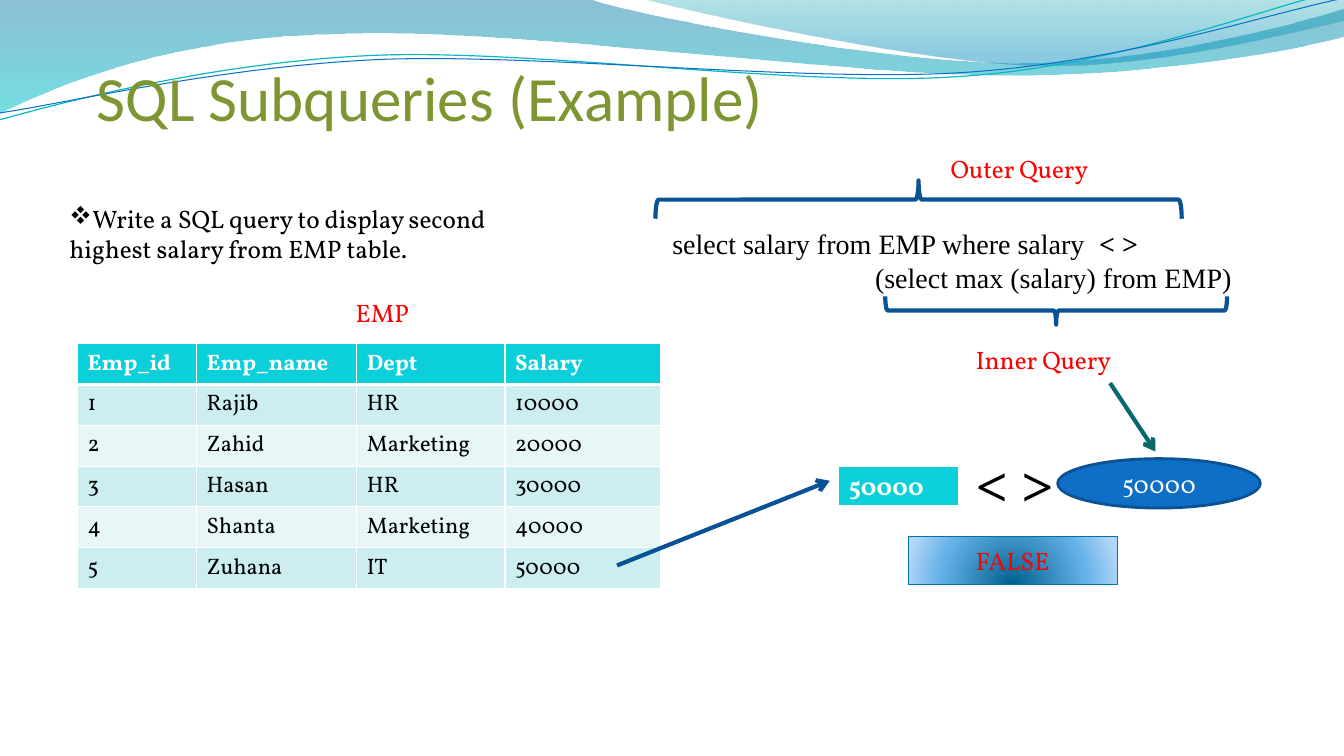
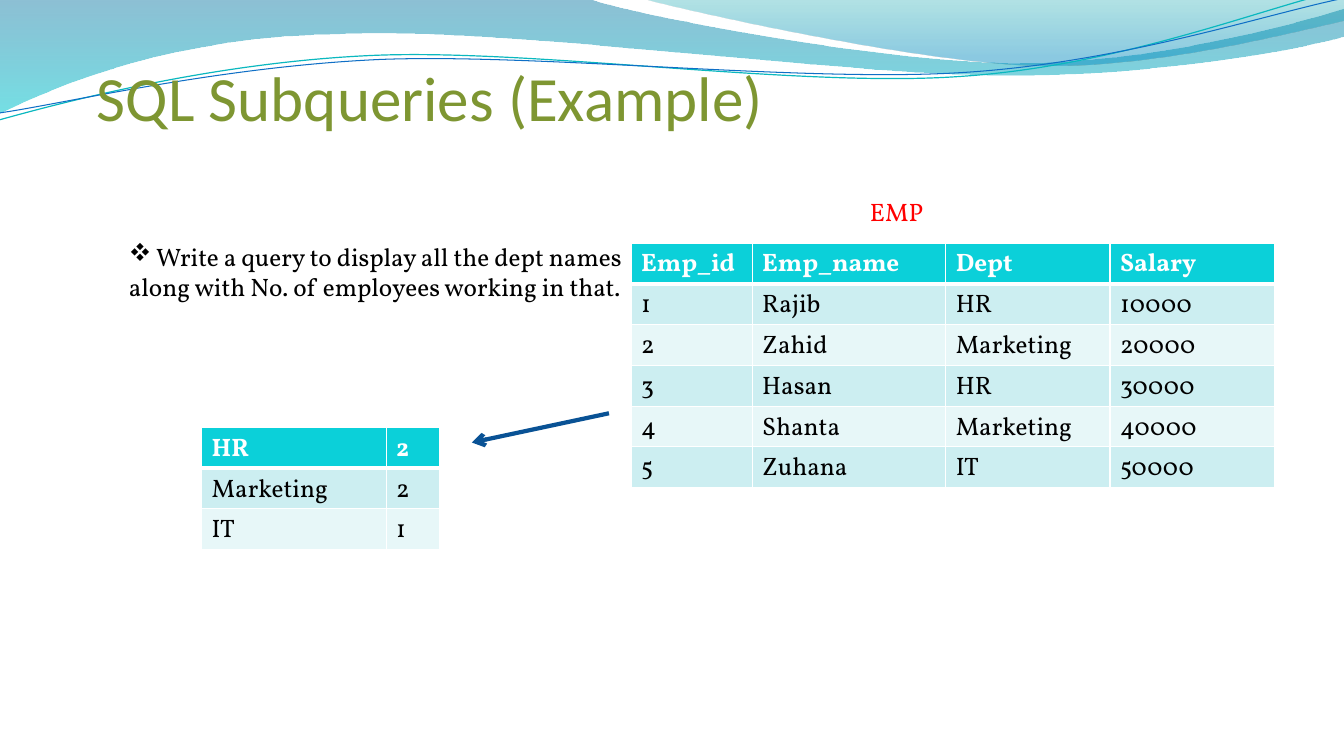
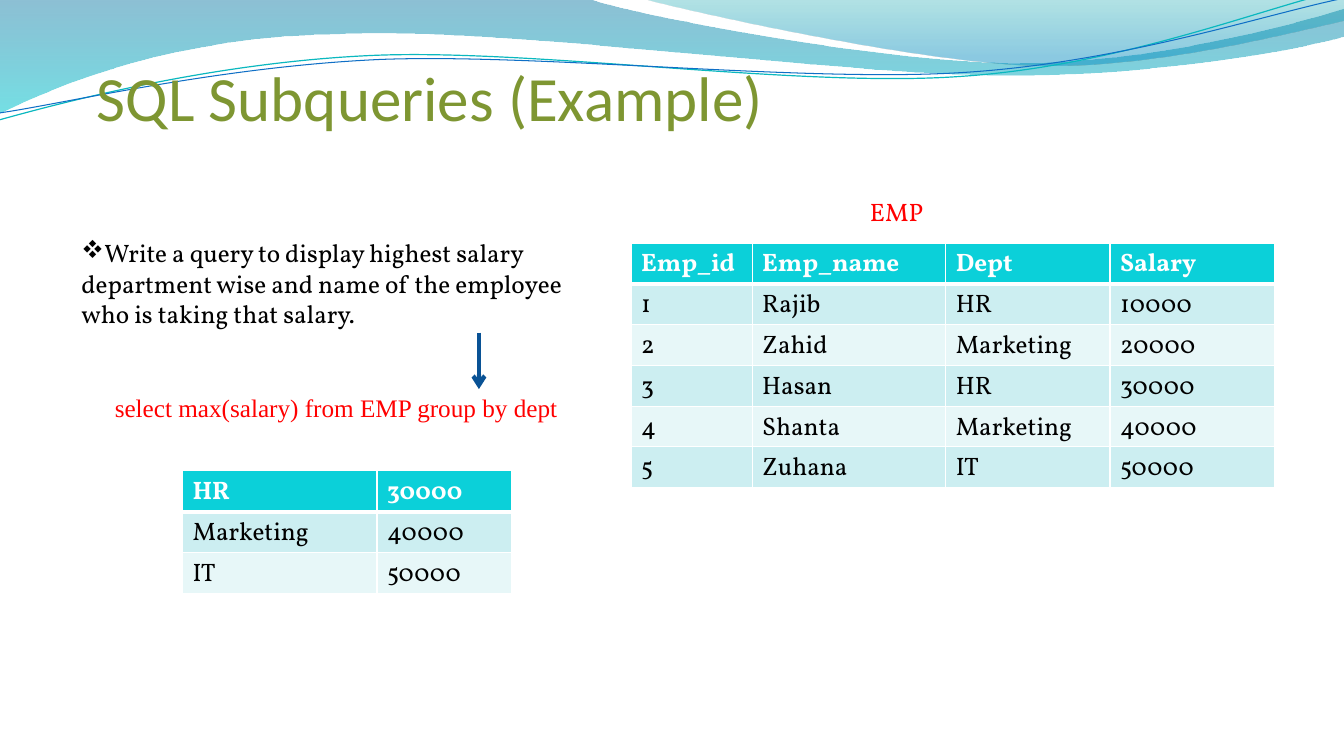
from lxml import etree
from pptx import Presentation
from pptx.dml.color import RGBColor
from pptx.enum.shapes import MSO_CONNECTOR, MSO_SHAPE
from pptx.enum.text import MSO_ANCHOR, MSO_AUTO_SIZE, PP_ALIGN
from pptx.oxml import parse_xml
from pptx.oxml.ns import nsdecls, qn
from pptx.util import Pt

PX = 9144  # one px is a hundredth of an inch
SLIDE_WIDTH, SLIDE_HEIGHT = 1333, 750
TITLE_ONLY = 5

BODY_FONT, CODE_FONT, TITLE_FONT = "Vollkorn", "Times New Roman", "Calibri"
BLACK, WHITE, RED, OLIVE = "000000", "FFFFFF", "FF0000", "7E9632"
NAVY, TEAL, BLUE, BLUE_EDGE = "095295", "06686C", "0F6FC6", "0B5292"
HEADER_FILL, BAND_FILLS = "0BD0D9", ("CCEEF1", "E7F7F8")

# Each outline: a start point, then points (2 numbers) or Bezier curves (6 numbers)
LEFT_WAVE = [
    (0, 0), (587, 0),
    (634, 17, 885, 63, 1011, 63), (1138, 63, 1278, 26, 1333, 9), (1335, 36),
    (1311, 44, 1160, 76, 994, 75), (829, 75, 509, 28, 343, 34),
    (172, 36, 61, 83, -1, 113),
]
RIGHT_WAVE = [
    (639, 0), (679, 11, 909, 62, 1025, 65), (1141, 69, 1282, 32, 1333, 21),
    (1333, 0),
]
TEAL_LINE = [
    (-1, 119), (64, 101, 211, 62, 369, 55), (527, 48, 790, 87, 950, 76),
    (1110, 66, 1252, 8, 1331, -10),
]
BLUE_LINE = [
    (0, 112), (63, 103, 218, 66, 378, 59), (537, 53, 796, 82, 955, 72),
    (1115, 62, 1255, 14, 1334, -2),
]

EMPLOYEES = [
    ("Emp_id", "Emp_name", "Dept", "Salary"),
    ("1", "Rajib", "HR", "10000"),
    ("2", "Zahid", "Marketing", "20000"),
    ("3", "Hasan", "HR", "30000"),
    ("4", "Shanta", "Marketing", "40000"),
    ("5", "Zuhana", "IT", "50000"),
]


def emu(*lengths):
    return [round(length * PX) for length in lengths]


def rgb(color):
    return RGBColor.from_string(color)


# Text

def style_font(font, size, color, name=BODY_FONT, bold=False):
    font.size, font.name, font.bold = Pt(size), name, bold
    font.color.rgb = rgb(color)


def add_text(slide, box, lines, size=18, color=BLACK, name=BODY_FONT,
             bold=False, wrap=True):
    text_box = slide.shapes.add_textbox(*emu(*box))
    text_frame = text_box.text_frame
    text_frame.text = lines
    text_frame.word_wrap = wrap
    text_frame.auto_size = MSO_AUTO_SIZE.SHAPE_TO_FIT_TEXT
    for paragraph in text_frame.paragraphs:
        for run in paragraph.runs:
            style_font(run.font, size, color, name, bold)
    return text_frame


def add_label(slide, box, text, name=BODY_FONT):
    add_text(slide, box, text, color=RED, name=name, wrap=False)


def add_question(slide, box, text):
    properties = add_text(slide, box, text).paragraphs[0]._p.get_or_add_pPr()
    # In Wingdings the letter v is the four-diamond bullet
    etree.SubElement(properties, qn("a:buFont")).set("typeface", "Wingdings")
    etree.SubElement(properties, qn("a:buChar")).set("char", "v")


# Shapes

def set_gradient(shape, stops, direction):
    stop_xml = "".join(
        f'<a:gs pos="{place * 1000}"><a:srgbClr val="{color}">'
        f'<a:alpha val="{opacity * 1000}"/></a:srgbClr></a:gs>'
        for place, color, opacity in stops)
    shape.fill.background()
    properties = shape._element.spPr
    properties.replace(properties.find(qn("a:noFill")), parse_xml(
        f'<a:gradFill {nsdecls("a")}><a:gsLst>{stop_xml}</a:gsLst>'
        f'{direction}</a:gradFill>'))


def set_line(line, color, width):
    line.color.rgb = rgb(color)
    line.width = Pt(width)


def add_arrow(slide, start, end, color=NAVY):
    arrow = slide.shapes.add_connector(
        MSO_CONNECTOR.STRAIGHT, *emu(*start, *end))
    set_line(arrow.line, color, 3)
    etree.SubElement(arrow.line._get_or_add_ln(), qn("a:tailEnd")).set("type", "arrow")
    etree.SubElement(arrow._element.spPr, qn("a:effectLst"))


def add_brace(slide, box, rotation):
    """Draw a brace lying in the box: a left brace turned on its side."""
    left, top, width, height = box
    shift = (width - height) / 2
    brace = slide.shapes.add_shape(
        MSO_SHAPE.LEFT_BRACE, *emu(left + shift, top - shift, height, width))
    brace.rotation = rotation
    brace.shadow.inherit = False
    brace.fill.background()
    set_line(brace.line, NAVY, 3)


def add_value_shape(slide, kind, box, text, color, edge, edge_width):
    shape = slide.shapes.add_shape(kind, *emu(*box))
    shape.shadow.inherit = False
    set_line(shape.line, edge, edge_width)
    shape.text_frame.text = text
    shape.text_frame.vertical_anchor = MSO_ANCHOR.MIDDLE
    paragraph = shape.text_frame.paragraphs[0]
    paragraph.alignment = PP_ALIGN.CENTER
    style_font(paragraph.runs[0].font, 18, color)
    return shape


# Tables

def set_borders(cell, top, bottom):
    properties = cell._tc.get_or_add_tcPr()
    widths = {"lnL": 1, "lnR": 1, "lnT": top, "lnB": bottom}
    for index, (side, width) in enumerate(widths.items()):
        properties.insert(index, parse_xml(
            f'<a:{side} {nsdecls("a")} w="{Pt(width)}"><a:solidFill>'
            f'<a:srgbClr val="{WHITE}"/></a:solidFill></a:{side}>'))


def add_data_table(slide, left, top, column_widths, height, rows, size=18):
    table = slide.shapes.add_table(
        len(rows), len(column_widths),
        *emu(left, top, sum(column_widths), height)).table
    for column, width in zip(table.columns, emu(*column_widths)):
        column.width = width
    for row_index, row in enumerate(rows):
        header = row_index == 0
        for column_index, text in enumerate(row):
            cell = table.cell(row_index, column_index)
            cell.text = text
            style_font(cell.text_frame.paragraphs[0].runs[0].font, size,
                       WHITE if header else BLACK, bold=header)
            cell.fill.solid()
            cell.fill.fore_color.rgb = rgb(
                HEADER_FILL if header else BAND_FILLS[(row_index - 1) % 2])
            set_borders(cell, 3 if row_index == 1 else 1, 3 if header else 1)


def add_employees(slide, left, top, label_shift, column_widths, size=18):
    add_data_table(slide, left, top, column_widths, 243, EMPLOYEES, size)
    add_label(slide, (left + label_shift, top - 51, 79, 40), "EMP")


# Shared wave band and title

def add_outline(slide, outline, closed):
    """Lay out every point with the builder, then turn triples into curves."""
    points = [emu(*segment[index:index + 2])
              for segment in outline for index in range(0, len(segment), 2)]
    builder = slide.shapes.build_freeform(*points[0])
    builder.add_line_segments(points[1:], close=closed)
    shape = builder.convert_to_shape()
    shape.shadow.inherit = False
    steps = iter(list(shape._element.spPr.iter(qn("a:lnTo"))))
    for segment in outline[1:]:
        first = next(steps)
        if len(segment) == 6:
            curve = etree.Element(qn("a:cubicBezTo"))
            first.addprevious(curve)
            for step in (first, next(steps), next(steps)):
                curve.append(step[0])
                step.getparent().remove(step)
    return shape


def add_waves(slide, layout):
    """Draw the band and hand it to the layout, which every slide shares."""
    waves = []
    for outline, stops in (
            (LEFT_WAVE, [(0, "0074A1", 45), (100, "00C6CF", 55)]),
            (RIGHT_WAVE, [(0, "00A1A9", 30), (80, "008BBF", 45)])):
        wave = add_outline(slide, outline, True)
        set_gradient(wave, stops, '<a:lin ang="5400000" scaled="0"/>')
        wave.line.fill.background()
        waves.append(wave)
    for outline, color, width in ((TEAL_LINE, "0AB8BF", 0.85), (BLUE_LINE, BLUE, 0.75)):
        wave = add_outline(slide, outline, False)
        wave.fill.background()
        set_line(wave.line, color, width)
        waves.append(wave)
    for index, wave in enumerate(waves):
        wave._element.nvSpPr.cNvPr.set("id", str(100 + index))
        layout.shapes._spTree.insert(2 + index, wave._element)


def add_titled_slide(presentation):
    slide = presentation.slides.add_slide(presentation.slide_layouts[TITLE_ONLY])
    title = slide.shapes.title
    title.left, title.top, title.width, title.height = emu(96, 72, 910, 61)
    text_frame = title.text_frame
    text_frame.text = "SQL Subqueries (Example)"
    text_frame.auto_size = MSO_AUTO_SIZE.NONE
    text_frame.vertical_anchor = MSO_ANCHOR.BOTTOM
    text_frame.margin_left = text_frame.margin_right = text_frame.margin_bottom = 0
    text_frame.margin_top = 5 * PX
    paragraph = text_frame.paragraphs[0]
    paragraph.alignment = PP_ALIGN.LEFT
    style_font(paragraph.runs[0].font, 45, OLIVE, TITLE_FONT)
    return slide


# Regions of the first slide

def add_nested_query(slide, left, top):
    text_frame = add_text(
        slide, (left, top, 667, 108),
        "select salary from EMP where salary\n(select max (salary) from EMP)",
        size=20, name=CODE_FONT)
    for paragraph, indent in zip(text_frame.paragraphs, emu(48, 249)):
        paragraph._p.get_or_add_pPr().set("marL", str(indent))
    # A widened space sets the operator apart
    for text, bold, spacing in ((" ", False, 500), ("< >", True, 0)):
        run = text_frame.paragraphs[0].add_run()
        run.text = text
        style_font(run.font, 20, BLACK, CODE_FONT, bold)
        run._r.get_or_add_rPr().set("spc", str(spacing))
    add_brace(slide, (left + 41, top - 41, 522, 38), 90)
    add_label(slide, (left + 324, top - 73, 181, 40), "Outer Query")
    add_brace(slide, (left + 269, top + 74, 339, 28), 270)
    add_label(slide, (left + 349, top + 117, 174, 40), "Inner Query")


def add_comparison(slide, left, top):
    ellipse = add_value_shape(
        slide, MSO_SHAPE.OVAL, (left + 217, top + 13, 201, 49),
        "50000", WHITE, BLUE_EDGE, 2)
    ellipse.fill.solid()
    ellipse.fill.fore_color.rgb = rgb(BLUE)
    add_text(slide, (left + 126, top, 104, 77), "< >", size=40,
             name=CODE_FONT, bold=True, wrap=False)
    add_data_table(slide, left, top + 21, [119], 40, [("50000",)])
    verdict = add_value_shape(
        slide, MSO_SHAPE.RECTANGLE, (left + 69, top + 90, 207, 48),
        "FALSE", RED, "0074A1", 0.75)
    set_gradient(
        verdict, [(0, "006091", 100), (68, "64B1E7", 100), (100, "B1D6F9", 100)],
        '<a:path path="circle"><a:fillToRect l="50000" t="130000" '
        'r="50000" b="-30000"/></a:path>')


# Slides

def build_second_highest(slide):
    add_question(slide, (59, 197, 491, 101),
                 "Write a SQL query to display second highest salary from EMP table.")
    add_employees(slide, 77, 341, 266, [118, 159, 147, 154], size=16)
    add_nested_query(slide, 609, 220)
    add_arrow(slide, (1101, 380), (1146, 448), TEAL)
    add_comparison(slide, 832, 442)
    add_arrow(slide, (612, 561), (823, 477))


def build_department_count(slide):
    add_question(slide, (118, 234, 547, 101),
                 " Write a query to display all the dept names along with "
                 "No. of employees working in that.")
    add_employees(slide, 626, 241, 227, [120, 192, 163, 163])
    add_data_table(slide, 200, 424, [183, 53], 121,
                   [("HR", "2"), ("Marketing", "2"), ("IT", "1")])
    add_arrow(slide, (604, 410), (468, 439))


def build_department_highest(slide):
    add_question(slide, (71, 231, 547, 101),
                 "Write a query to display highest salary department wise and "
                 "name of the employee who is taking that salary.")
    add_employees(slide, 626, 241, 227, [120, 192, 163, 163])
    add_data_table(slide, 181, 467, [193, 133], 122,
                   [("HR", "30000"), ("Marketing", "40000"), ("IT", "50000")])
    add_arrow(slide, (475, 330), (475, 386))
    add_label(slide, (104, 384, 464, 40),
              "select max(salary) from EMP group by dept", CODE_FONT)


def main():
    presentation = Presentation()
    presentation.slide_width, presentation.slide_height = emu(SLIDE_WIDTH, SLIDE_HEIGHT)
    builders = (build_second_highest, build_department_count, build_department_highest)
    slides = [add_titled_slide(presentation) for _ in builders]
    add_waves(slides[0], presentation.slide_layouts[TITLE_ONLY])
    for build, slide in zip(builders, slides):
        build(slide)
    presentation.save("out.pptx")


if __name__ == "__main__":
    main()
